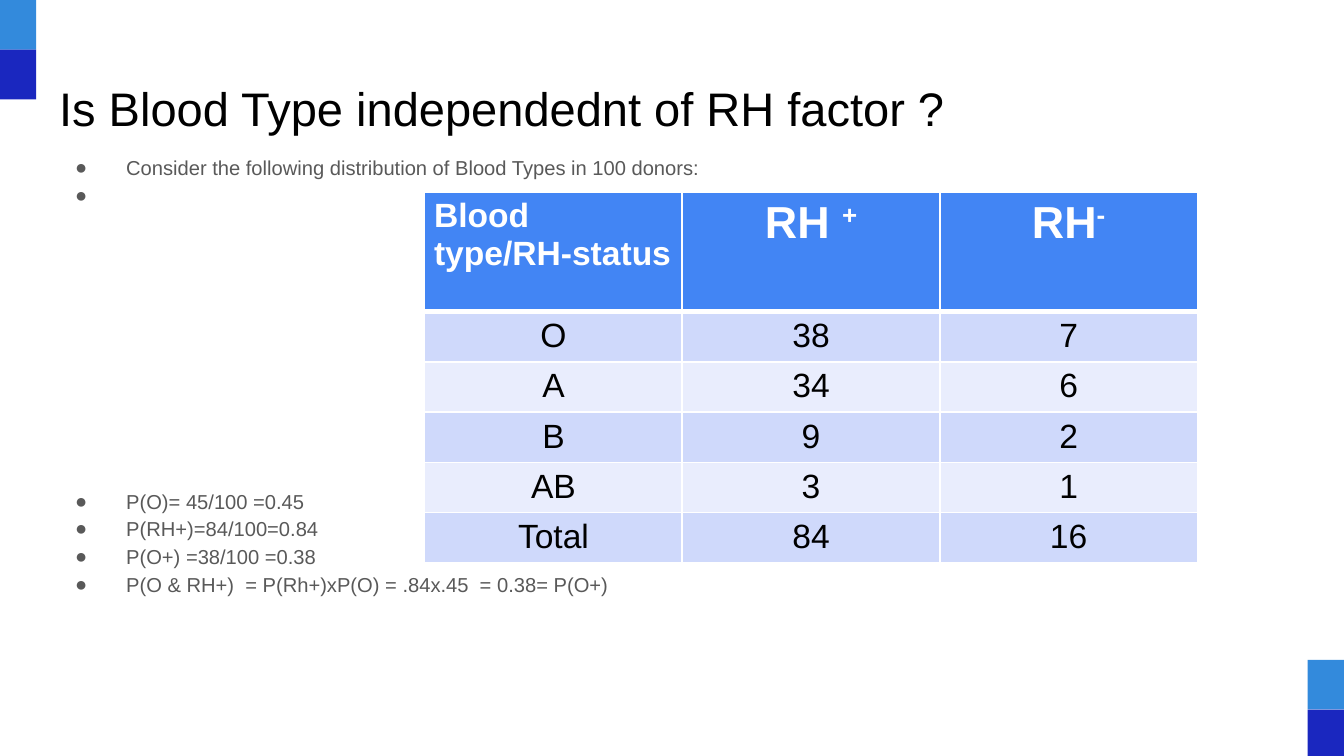
from dataclasses import dataclass

import pptx
import pptx.dml.color
import pptx.enum.shapes
import pptx.enum.text
import pptx.oxml.ns
import pptx.util
from lxml import etree

Inches = pptx.util.Inches
Pt = pptx.util.Pt
qn = pptx.oxml.ns.qn
ALIGN = pptx.enum.text.PP_ALIGN


@dataclass(frozen=True)
class Theme:
    font: str = "Arial"
    ink: str = "000000"
    muted: str = "595959"
    white: str = "FFFFFF"
    accent_light: str = "338ADC"
    accent_dark: str = "1A27BF"
    header_fill: str = "4285F4"
    band_fills: tuple = ("CFD9FB", "E9EDFD")
    title_size: float = 25.2
    body_size: float = 10.8
    cell_size: float = 18
    factor_size: float = 24


def rgb(value):
    return pptx.dml.color.RGBColor.from_string(value)


def apply_format(target, values):
    for name, value in values.items():
        setattr(target, name, value)


class SlideBuilder:
    def __init__(self, slide, theme):
        self.slide = slide
        self.theme = theme

    def add_run(self, paragraph, text, size, color, bold=False, superscript=False):
        run = paragraph.add_run()
        run.text = text
        apply_format(run.font, {"name": self.theme.font, "size": Pt(size), "bold": bold})
        run.font.color.rgb = rgb(color)
        if superscript:
            run._r.get_or_add_rPr().set("baseline", "30000")

    def format_frame(self, frame):
        apply_format(frame, {
            "word_wrap": True,
            "auto_size": pptx.enum.text.MSO_AUTO_SIZE.NONE,
            "vertical_anchor": pptx.enum.text.MSO_ANCHOR.TOP,
            "margin_left": Inches(0.1), "margin_right": Inches(0.1),
            "margin_top": Inches(0.1), "margin_bottom": Inches(0.1),
        })

    def title(self, text, left, top, width, height):
        heading = self.slide.shapes.title
        apply_format(heading, {"left": Inches(left), "top": Inches(top),
                               "width": Inches(width), "height": Inches(height)})
        self.format_frame(heading.text_frame)
        paragraph = heading.text_frame.paragraphs[0]
        paragraph.alignment = ALIGN.LEFT
        self.add_run(paragraph, text, self.theme.title_size, self.theme.ink)

    def square_pair(self, left, top, width, height):
        for index, color in enumerate((self.theme.accent_light, self.theme.accent_dark)):
            square = self.slide.shapes.add_shape(
                pptx.enum.shapes.MSO_SHAPE.RECTANGLE, Inches(left),
                Inches(top + index * height), Inches(width), Inches(height))
            square.shadow.inherit = False
            square.fill.solid()
            square.fill.fore_color.rgb = rgb(color)
            square.line.fill.background()

    def bullets(self, groups, group_gap, left, top, width, height):
        box = self.slide.shapes.add_textbox(
            Inches(left), Inches(top), Inches(width), Inches(height))
        frame = box.text_frame
        self.format_frame(frame)
        paragraph = None
        for group_index, lines in enumerate(groups):
            for line_index, line in enumerate(lines):
                paragraph = frame.add_paragraph() if paragraph else frame.paragraphs[0]
                starts_group = group_index > 0 and line_index == 0
                apply_format(paragraph, {
                    "line_spacing": 1.15,
                    "space_before": Pt(group_gap if starts_group else 0),
                })
                self.add_run(paragraph, line, self.theme.body_size, self.theme.muted)
                properties = paragraph._p.get_or_add_pPr()
                properties.set("marL", str(Inches(0.5)))
                properties.set("indent", str(Inches(-0.38)))
                bullet_color = etree.SubElement(properties, qn("a:buClr"))
                etree.SubElement(bullet_color, qn("a:srgbClr"), val=self.theme.muted)
                etree.SubElement(properties, qn("a:buFont"), typeface=self.theme.font)
                etree.SubElement(properties, qn("a:buChar"), char="●")

    def cell_borders(self, cell, widths):
        properties = cell._tc.get_or_add_tcPr()
        for index, (side, width) in enumerate(widths.items()):
            border = etree.Element(qn(f"a:ln{side}"), w=str(Pt(width)))
            fill = etree.SubElement(border, qn("a:solidFill"))
            etree.SubElement(fill, qn("a:srgbClr"), val=self.theme.white)
            properties.insert(index, border)

    def style_cell(self, cell, fill, alignment, borders):
        apply_format(cell, {
            "margin_left": Inches(0.07), "margin_right": Inches(0.07),
            "margin_top": Inches(0.04), "margin_bottom": Inches(0.04),
        })
        cell.fill.solid()
        cell.fill.fore_color.rgb = rgb(fill)
        self.cell_borders(cell, borders)
        paragraph = cell.text_frame.paragraphs[0]
        paragraph.alignment = alignment
        return paragraph

    def table(self, headers, rows, header_height, left, top, width, height):
        theme = self.theme
        grid = self.slide.shapes.add_table(
            len(rows) + 1, len(headers), Inches(left), Inches(top),
            Inches(width), Inches(height)).table
        for column in grid.columns:
            column.width = Inches(width / len(headers))
        for index, row in enumerate(grid.rows):
            row.height = Inches((height - header_height) / len(rows) if index
                                else header_height)
        for column, (label, sign, size) in enumerate(headers):
            paragraph = self.style_cell(
                grid.cell(0, column), theme.header_fill,
                ALIGN.CENTER if column else ALIGN.LEFT,
                {"L": 1, "R": 1, "T": 1, "B": 3})
            self.add_run(paragraph, label, size, theme.white, bold=True)
            if sign:
                self.add_run(paragraph, sign, size, theme.white, bold=True, superscript=True)
        for index, values in enumerate(rows):
            for column, value in enumerate(values):
                paragraph = self.style_cell(
                    grid.cell(index + 1, column), theme.band_fills[index % 2],
                    ALIGN.CENTER, {"L": 1, "R": 1, "T": 1 if index else 3, "B": 1})
                self.add_run(paragraph, str(value), theme.cell_size, theme.ink)


def main():
    theme = Theme()
    deck = pptx.Presentation()
    slide_width = Inches(10)
    apply_format(deck, {"slide_width": slide_width, "slide_height": slide_width * 9 // 16})
    builder = SlideBuilder(deck.slides.add_slide(deck.slide_layouts[5]), theme)

    for left, top in ((0, 0), (9.73, 4.91)):
        builder.square_pair(left, top, 0.27, 0.37)

    builder.title("Is Blood Type independednt of RH factor ?", 0.34, 0.49, 9.32, 0.63)

    premise = ["Consider the following distribution of Blood Types in 100 donors:", " "]
    probabilities = [
        "P(O)= 45/100 =0.45",
        "P(RH+)=84/100=0.84",
        "P(O+) =38/100 =0.38",
        "P(O & RH+)  = P(Rh+)xP(O) = .84x.45  = 0.38= P(O+)",
    ]
    builder.bullets([premise, probabilities], 149, 0.34, 1.03, 9.32, 3.97)

    headers = [
        ("Blood type/RH-status", "", theme.cell_size),
        ("RH ", "+", theme.factor_size),
        ("RH", "-", theme.factor_size),
    ]
    donors = [("O", 38, 7), ("A", 34, 6), ("B", 9, 2), ("AB", 3, 1), ("Total", 84, 16)]
    builder.table(headers, donors, 0.89, 3.16, 1.43, 5.75, 2.76)

    deck.save("out.pptx")


if __name__ == "__main__":
    main()
